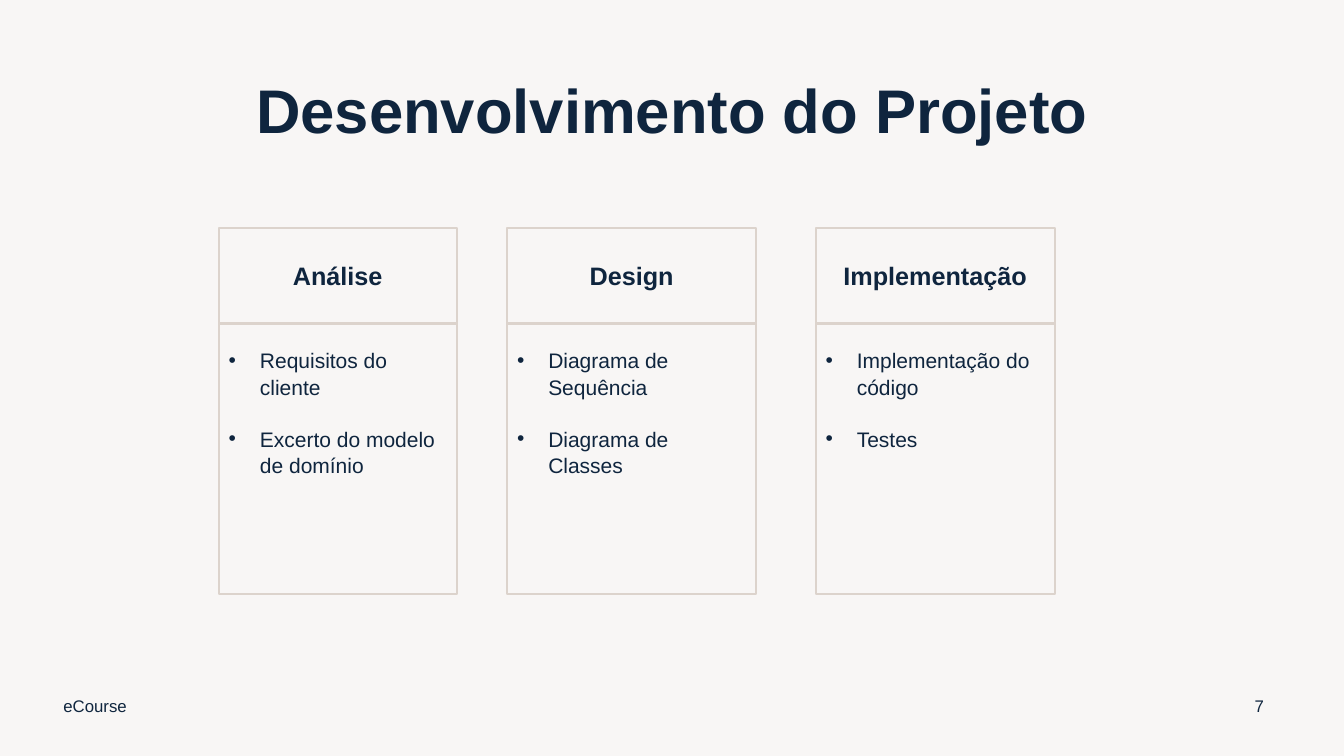
from dataclasses import dataclass

from lxml.etree import SubElement
from pptx import Presentation
from pptx.dml.color import RGBColor
from pptx.enum.shapes import MSO_SHAPE
from pptx.enum.text import MSO_ANCHOR, PP_ALIGN
from pptx.oxml.ns import qn
from pptx.util import Inches, Pt

TITLE = "Desenvolvimento do Projeto"
STAGES = [
    ("Análise", 2.17, 2.36, ["Requisitos do cliente", "Excerto do modelo de domínio"]),
    ("Design", 5.03, 2.47, ["Diagrama de Sequência", "Diagrama de Classes"]),
    ("Implementação", 8.09, 2.37, ["Implementação do código", "Testes"]),
]
FOOTERS = [
    ("eCourse", 0.53, 4.5, PP_ALIGN.LEFT),
    ("7", 12.24, 0.5, PP_ALIGN.CENTER),
]
TITLE_BOX = (0.92, 0.4, 11.5, 1.45)
HEADING_TOP, HEADING_HEIGHT = 2.26, 0.95
BODY_TOP, BODY_HEIGHT = 3.2, 2.69
FOOTER_TOP, FOOTER_HEIGHT = 6.8, 0.4
BULLET_INDENT = 0.31


@dataclass(frozen=True)
class Theme:
    font: str = "Arial"
    ink: RGBColor = RGBColor(0x0F, 0x25, 0x3E)
    border: RGBColor = RGBColor(0xDC, 0xD3, 0xCC)
    background: RGBColor = RGBColor(0xF8, 0xF6, 0xF5)
    title: int = 44
    heading: int = 18
    body: int = 15
    footer: int = 12


THEME = Theme()


def style(paragraph, size, bold=False, align=PP_ALIGN.LEFT):
    paragraph.alignment = align
    paragraph.font.name = THEME.font
    paragraph.font.size = Pt(size)
    paragraph.font.bold = bold
    paragraph.font.color.rgb = THEME.ink


def add_bullet(paragraph):
    properties = paragraph._p.get_or_add_pPr()
    properties.set("marL", str(Inches(BULLET_INDENT)))
    properties.set("indent", str(-Inches(BULLET_INDENT)))
    SubElement(properties, qn("a:buFont")).set("typeface", THEME.font)
    SubElement(properties, qn("a:buChar")).set("char", "•")


def add_panel(page, left, top, width, height, anchor):
    panel = page.shapes.add_shape(MSO_SHAPE.RECTANGLE, *map(Inches, (left, top, width, height)))
    panel.shadow.inherit = False
    panel.fill.background()
    panel.line.color.rgb = THEME.border
    panel.line.width = Pt(1.5)
    frame = panel.text_frame
    frame.word_wrap = True
    frame.vertical_anchor = anchor
    return frame


def add_stage(page, heading, left, width, items):
    body = add_panel(page, left, BODY_TOP, width, BODY_HEIGHT, MSO_ANCHOR.TOP)
    body.margin_top = Inches(0.24)
    body.text = "\n".join(items)
    for index, paragraph in enumerate(body.paragraphs):
        style(paragraph, THEME.body)
        paragraph.line_spacing = 1.05
        paragraph.space_before = Pt(18 if index else 0)
        add_bullet(paragraph)
    head = add_panel(page, left, HEADING_TOP, width, HEADING_HEIGHT, MSO_ANCHOR.MIDDLE)
    head.text = heading
    style(head.paragraphs[0], THEME.heading, True, PP_ALIGN.CENTER)


def add_title(page):
    title = page.shapes.title
    title.left, title.top, title.width, title.height = map(Inches, TITLE_BOX)
    title.text_frame.text = TITLE
    title.text_frame.vertical_anchor = MSO_ANCHOR.MIDDLE
    paragraph = title.text_frame.paragraphs[0]
    style(paragraph, THEME.title, True, PP_ALIGN.CENTER)
    paragraph.line_spacing = 0.9


def add_footer(page, text, left, width, align):
    box = page.shapes.add_textbox(*map(Inches, (left, FOOTER_TOP, width, FOOTER_HEIGHT)))
    frame = box.text_frame
    frame.word_wrap = True
    frame.vertical_anchor = MSO_ANCHOR.MIDDLE
    frame.text = text
    style(frame.paragraphs[0], THEME.footer, align=align)


def main():
    deck = Presentation()
    deck.slide_width, deck.slide_height = Inches(13.33), Inches(7.5)
    page = deck.slides.add_slide(deck.slide_layouts.get_by_name("Title Only"))
    page.background.fill.solid()
    page.background.fill.fore_color.rgb = THEME.background
    add_title(page)
    for stage in STAGES:
        add_stage(page, *stage)
    for footer in FOOTERS:
        add_footer(page, *footer)
    deck.save("out.pptx")


if __name__ == "__main__":
    main()
